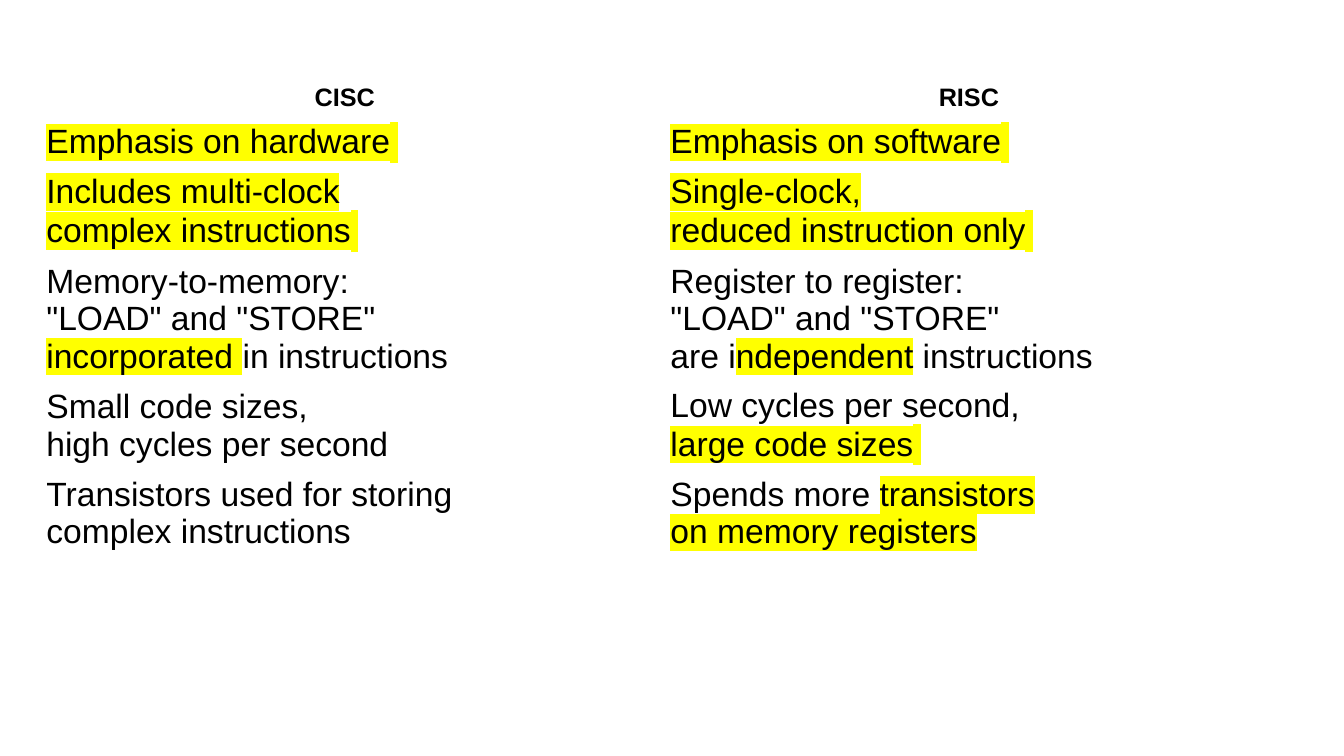
"""Build a slide with a table that compares CISC and RISC processors."""
from dataclasses import dataclass

from lxml.etree import SubElement
from pptx import Presentation
from pptx.dml.color import RGBColor
from pptx.enum.text import MSO_ANCHOR, PP_ALIGN
from pptx.oxml.ns import qn
from pptx.util import Inches, Pt

COLORS = {"text": "000000", "cell": "FFFFFF", "marker": "FFFF00"}
LINE_HEIGHT = 0.38
CELL_PADDING = 0.1


@dataclass(frozen=True)
class Span:
    text: str
    marked: bool = False
    font: str = "Arial"


@dataclass(frozen=True)
class Trait:
    cisc: tuple[Span, ...]
    risc: tuple[Span, ...]


MARKED_SPACE = Span(" ", marked=True, font="Calibri")

HEADINGS = Trait((Span("CISC "),), (Span("RISC "),))
TRAITS = [
    Trait(
        (Span("Emphasis on hardware", marked=True), MARKED_SPACE),
        (Span("Emphasis on software", marked=True), MARKED_SPACE),
    ),
    Trait(
        (Span("Includes multi-clock\ncomplex instructions", marked=True), MARKED_SPACE),
        (Span("Single-clock,\nreduced instruction only", marked=True), MARKED_SPACE),
    ),
    Trait(
        (
            Span('Memory-to-memory:\n"LOAD" and "STORE"\n'),
            Span("incorporated ", marked=True),
            Span("in instructions"),
        ),
        (
            Span('Register to register:\n"LOAD" and "STORE"\nare i'),
            Span("ndependent", marked=True),
            Span(" instructions"),
        ),
    ),
    Trait(
        (Span("Small code sizes,\nhigh cycles per second"),),
        (
            Span("Low cycles per second,\n"),
            Span("large code sizes", marked=True),
            MARKED_SPACE,
        ),
    ),
    Trait(
        (Span("Transistors used for storing\ncomplex instructions"),),
        (Span("Spends more "), Span("transistors\non memory registers", marked=True)),
    ),
]


def add_text(paragraph, text: str, *, size: float, font: str = "Arial",
             bold: bool = False, marked: bool = False) -> None:
    for index, line in enumerate(text.split("\n")):
        if index:
            paragraph.add_line_break()
        if not line:
            continue
        run = paragraph.add_run()
        run.text = line
        run.font.size = Pt(size)
        run.font.bold = bold
        run.font.color.rgb = RGBColor.from_string(COLORS["text"])
        if marked:
            highlight = SubElement(run.font._element, qn("a:highlight"))
            SubElement(highlight, qn("a:srgbClr"), val=COLORS["marker"])
        run.font.name = font


def fill_cell(cell, spans: tuple[Span, ...], heading: bool) -> None:
    cell.fill.solid()
    cell.fill.fore_color.rgb = RGBColor.from_string(COLORS["cell"])
    cell.vertical_anchor = MSO_ANCHOR.MIDDLE
    paragraph = cell.text_frame.paragraphs[0]
    paragraph.alignment = PP_ALIGN.CENTER if heading else PP_ALIGN.LEFT
    for span in spans:
        add_text(paragraph, span.text, size=18 if heading else 24,
                 font=span.font, bold=heading, marked=span.marked)


def add_comparison(slide, traits: list[Trait]) -> None:
    comparison = slide.shapes.add_table(
        len(traits), 2, Inches(0.36), Inches(0.78), Inches(12.38), Inches(4.9)
    ).table
    comparison.first_row = False
    comparison.horz_banding = False
    for index, trait in enumerate(traits):
        heading = index == 0
        line_count = 1 + sum(span.text.count("\n") for span in trait.cisc)
        height = LINE_HEIGHT if heading else CELL_PADDING + line_count * LINE_HEIGHT
        comparison.rows[index].height = Inches(height)
        for column, spans in enumerate((trait.cisc, trait.risc)):
            fill_cell(comparison.cell(index, column), spans, heading)


def main() -> None:
    deck = Presentation()
    deck.slide_width = Inches(13.33)
    deck.slide_height = Inches(7.5)
    slide = deck.slides.add_slide(deck.slide_layouts[6])
    add_comparison(slide, [HEADINGS, *TRAITS])
    deck.save("out.pptx")


if __name__ == "__main__":
    main()
